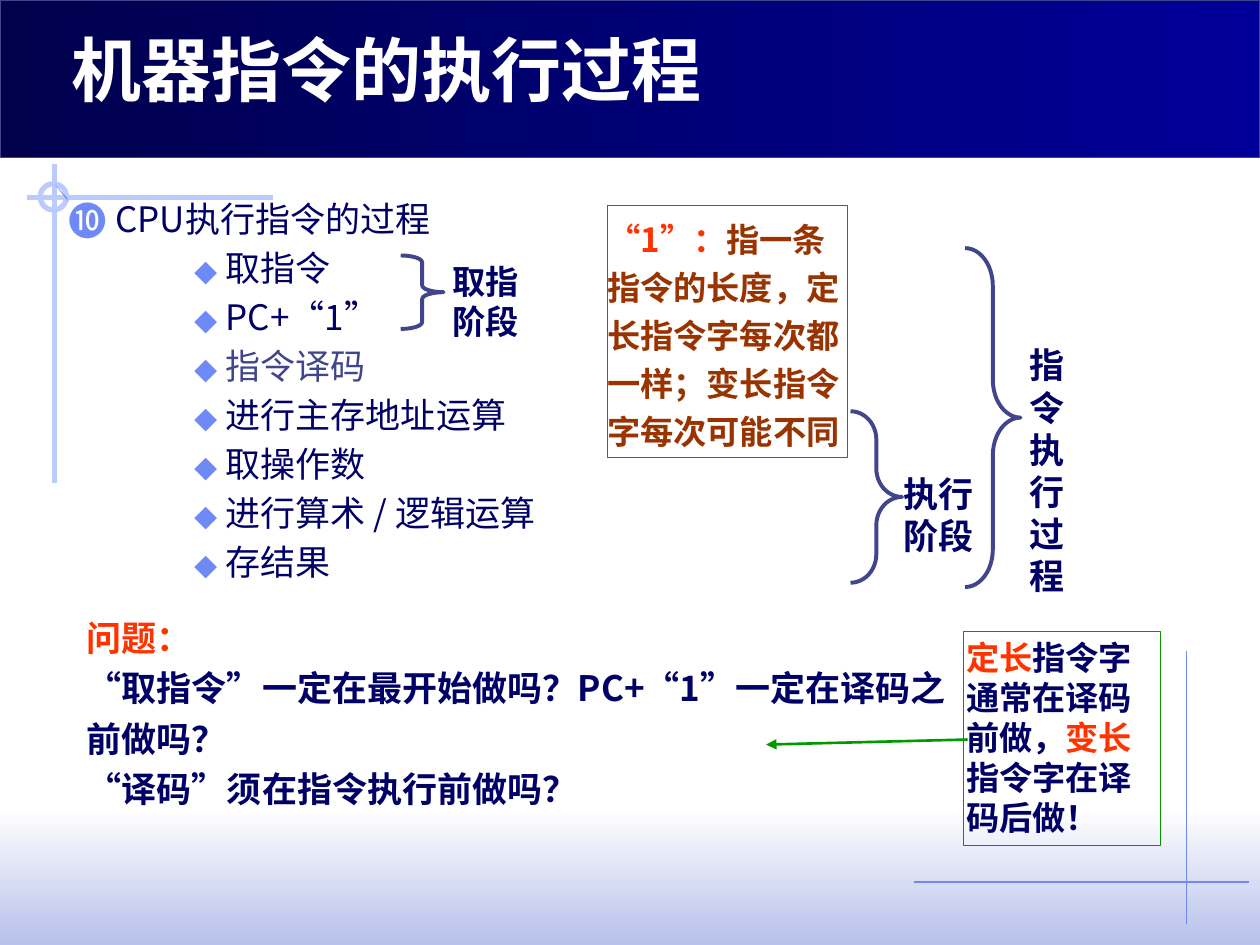
"""Build the slide on how a machine instruction is executed."""
from lxml import etree
from pptx import Presentation
from pptx.dml.color import RGBColor
from pptx.enum import lang, shapes, text
from pptx.oxml import ns
from pptx.util import Pt

COLOURS = {
    "navy": "000066", "slate": "40458C", "red": "FF3300", "brown": "993300",
    "green": "009900", "blue": "6F89F7", "pale": "BBCBFD", "white": "FFFFFF",
    "mist": "B7C1EB", "night": "00004D", "royal": "000099",
}
SANS = "Noto Sans CJK SC"
SERIF = "Times New Roman"


def rgb(name):
    """Return the named colour."""
    return RGBColor.from_string(COLOURS[name])


def points(values):
    """Turn numbers into lengths in points."""
    return [Pt(value) for value in values]


def sub(parent, tag, **attributes):
    """Append a drawing element with attributes."""
    return etree.SubElement(parent, ns.qn(tag), attributes)


def set_outline(item, colour, width):
    """Colour a line, or remove it when no colour is given."""
    if colour:
        item.line.color.rgb = rgb(colour)
        item.line.width = Pt(width)
    else:
        item.line.fill.background()


def add_line(slide, start, end, colour, width, arrow=False):
    """Draw a straight line, with an arrowhead at its end if asked."""
    line = slide.shapes.add_connector(
        shapes.MSO_CONNECTOR.STRAIGHT, *points(start + end))
    set_outline(line, colour, width)
    if arrow:
        sub(line.line._get_or_add_ln(), "a:tailEnd", type="triangle")
    sub(line.element.spPr, "a:effectLst")


def add_outline_shape(slide, kind, box, colour, width):
    """Draw an unfilled preset shape."""
    shape = slide.shapes.add_shape(kind, *points(box))
    shape.shadow.inherit = False
    shape.fill.background()
    set_outline(shape, colour, width)
    return shape


def add_band(slide, box, stops, angle, outline=None):
    """Draw a rectangle with a two-colour gradient."""
    band = add_outline_shape(
        slide, shapes.MSO_SHAPE.RECTANGLE, box, outline, 0.75)
    band.fill.gradient()
    band.fill.gradient_angle = angle
    for stop, colour, place in zip(band.fill.gradient_stops, stops, (0, 1)):
        stop.color.rgb = rgb(colour)
        stop.position = place


def add_brace(slide, box, curve):
    """Draw a right brace."""
    brace = add_outline_shape(
        slide, shapes.MSO_SHAPE.RIGHT_BRACE, box, "slate", 2.25)
    brace.adjustments[0] = curve
    brace.adjustments[1] = 0.5


def write(paragraph, pieces, size, pitch, font=SANS, bold=True, before=0):
    """Fill a paragraph with coloured pieces of text."""
    paragraph.line_spacing = Pt(pitch)
    paragraph.space_before = Pt(before)
    for wording, colour in pieces:
        run = paragraph.add_run()
        run.text = wording
        run.font.size = Pt(size)
        run.font.bold = bold
        run.font.name = font
        run.font.color.rgb = rgb(colour)
        run.font.language_id = lang.MSO_LANGUAGE_ID.SIMPLIFIED_CHINESE
        east_asian = SANS if font == SERIF else font
        sub(run.font._element, "a:ea", typeface=east_asian)


def set_frame(frame, sides, ends, anchor=text.MSO_ANCHOR.TOP):
    """Set wrapping, insets and anchor of a text frame."""
    frame.word_wrap = True
    frame.auto_size = text.MSO_AUTO_SIZE.NONE
    frame.vertical_anchor = anchor
    frame.margin_left = frame.margin_right = Pt(sides)
    frame.margin_top = frame.margin_bottom = Pt(ends)


def place(placeholder, box):
    """Move a placeholder and bring it to the front."""
    (placeholder.left, placeholder.top,
     placeholder.width, placeholder.height) = points(box)
    tree = placeholder.element.getparent()
    tree.append(placeholder.element)


def add_label(slide, box, wording, size):
    """Add the centred name of a stage."""
    label = slide.shapes.add_textbox(*points(box)).text_frame
    set_frame(label, 7.2, 3.6)
    write(label.paragraphs[0], [(wording, "navy")], size, size * 1.2, SERIF)
    label.paragraphs[0].alignment = text.PP_ALIGN.CENTER


def add_note(slide, box, pieces, pitch, inset):
    """Add a note in a green frame."""
    note = add_outline_shape(
        slide, shapes.MSO_SHAPE.RECTANGLE, box, "green", 0.75).text_frame
    set_frame(note, inset, 3.6)
    write(note.paragraphs[0], pieces, 19, pitch)
    note.paragraphs[0].alignment = text.PP_ALIGN.LEFT


def set_bullet(paragraph, mark, percent, margin, hanging):
    """Give a paragraph a blue bullet and a hanging indent."""
    properties = paragraph._p.get_or_add_pPr()
    properties.set("marL", str(Pt(margin)))
    properties.set("indent", str(-Pt(hanging)))
    sub(sub(properties, "a:buClr"), "a:srgbClr", val=COLOURS["blue"])
    sub(properties, "a:buSzPct", val=str(percent * 1000))
    sub(properties, "a:buFont", typeface=SANS)
    sub(properties, "a:buChar", char=mark)


def add_backdrop(slide):
    """Draw the header, the footer and the cross lines."""
    add_band(slide, (0, 462, 720, 78), ("white", "mist"), 270)
    add_line(slide, (678, 372), (678, 528), "blue", 0.75)
    add_line(slide, (156, 113), (15.5, 113), "pale", 3)
    add_line(slide, (31, 93.5), (31, 276), "pale", 3)
    add_outline_shape(
        slide, shapes.MSO_SHAPE.OVAL, (23, 105, 15, 15), "pale", 3)
    outline = slide.shapes.build_freeform(Pt(31), Pt(105))
    outline.add_line_segments([points((38.2, 113)), points((38.9, 115))])
    wedge = outline.convert_to_shape()
    wedge.shadow.inherit = False
    wedge.fill.solid()
    wedge.fill.fore_color.rgb = rgb("blue")
    set_outline(wedge, None, 0)
    add_band(slide, (0, 0, 720, 90), ("night", "royal"), 0, "slate")
    add_line(slide, (522, 504), (714, 504), "blue", 0.75)


def fill_title(title):
    """Write the slide title."""
    place(title, (36, 13, 625.5, 52.5))
    set_frame(title.text_frame, 5, 2, text.MSO_ANCHOR.MIDDLE)
    heading = title.text_frame.paragraphs[0]
    write(heading, [("机器指令的执行过程", "white")], 40, 48, "Noto Sans CJK JP")
    heading.alignment = text.PP_ALIGN.LEFT


def fill_steps(body):
    """Write the list of execution steps."""
    place(body, (34, 111, 301.5, 232))
    set_frame(body.text_frame, 5, 2)
    topic = body.text_frame.paragraphs[0]
    write(topic, [("CPU执行指令的过程", "navy")], 20, 24, bold=False, before=2)
    set_bullet(topic, "❿", 110, 27, 27)
    for wording in ("取指令", "PC+“1”", "指令译码", "进行主存地址运算",
                    "取操作数", "进行算术 / 逻辑运算", "存结果"):
        step = body.text_frame.add_paragraph()
        step.level = 2
        colour = "slate" if wording == "指令译码" else "navy"
        write(step, [(wording, colour)], 20, 24, bold=False, before=4)
        set_bullet(step, "⬥", 95, 90, 18)


def add_questions(slide):
    """Write the questions below the list."""
    questions = slide.shapes.add_textbox(
        *points((42.5, 344, 508.5, 124))).text_frame
    set_frame(questions, 7.2, 3.6)
    write(questions.paragraphs[0], [("问题：", "red")], 20, 28.8)
    for wording in ("“取指令”一定在最开始做吗？PC+“1”一定在译码之前做吗？",
                    "“译码”须在指令执行前做吗？"):
        write(questions.add_paragraph(), [(wording, "navy")], 20, 28.8)


def main():
    """Build and save the slide."""
    deck = Presentation()
    deck.slide_width, deck.slide_height = points((720, 540))
    slide = deck.slides.add_slide(deck.slide_layouts[1])
    add_backdrop(slide)
    fill_title(slide.shapes.title)
    fill_steps(slide.placeholders[1])
    add_questions(slide)
    for brace, curve, box, stage, size in (
            ((551.5, 141.8, 31.7, 193.7), 0.68, (581, 193, 31.7, 151), "指令执行过程", 20),
            ((229, 146, 24.5, 42), 0.16, (249, 146, 57, 52.5), "取指阶段", 19),
            ((486, 235, 29.5, 98), 0.55, (507, 266.5, 59, 55.5), "执行阶段", 20)):
        add_brace(slide, brace, curve)
        add_label(slide, box, stage, size)
    add_note(slide, (347, 117.4, 137.5, 144), [
        ("“1”：", "red"),
        ("指一条指令的长度，定长指令字每次都一样；变长指令字每次可能不同", "brown")], 27.4, 0)
    add_note(slide, (550.8, 360.7, 112.3, 122.4), [
        ("定长", "red"), ("指令字通常在译码前做，", "navy"),
        ("变长", "red"), ("指令字在译码后做！", "navy")], 22.8, 1.4)
    add_line(slide, (553, 422.6), (437.8, 425.5), "green", 1.5, arrow=True)
    deck.save("out.pptx")


main()
